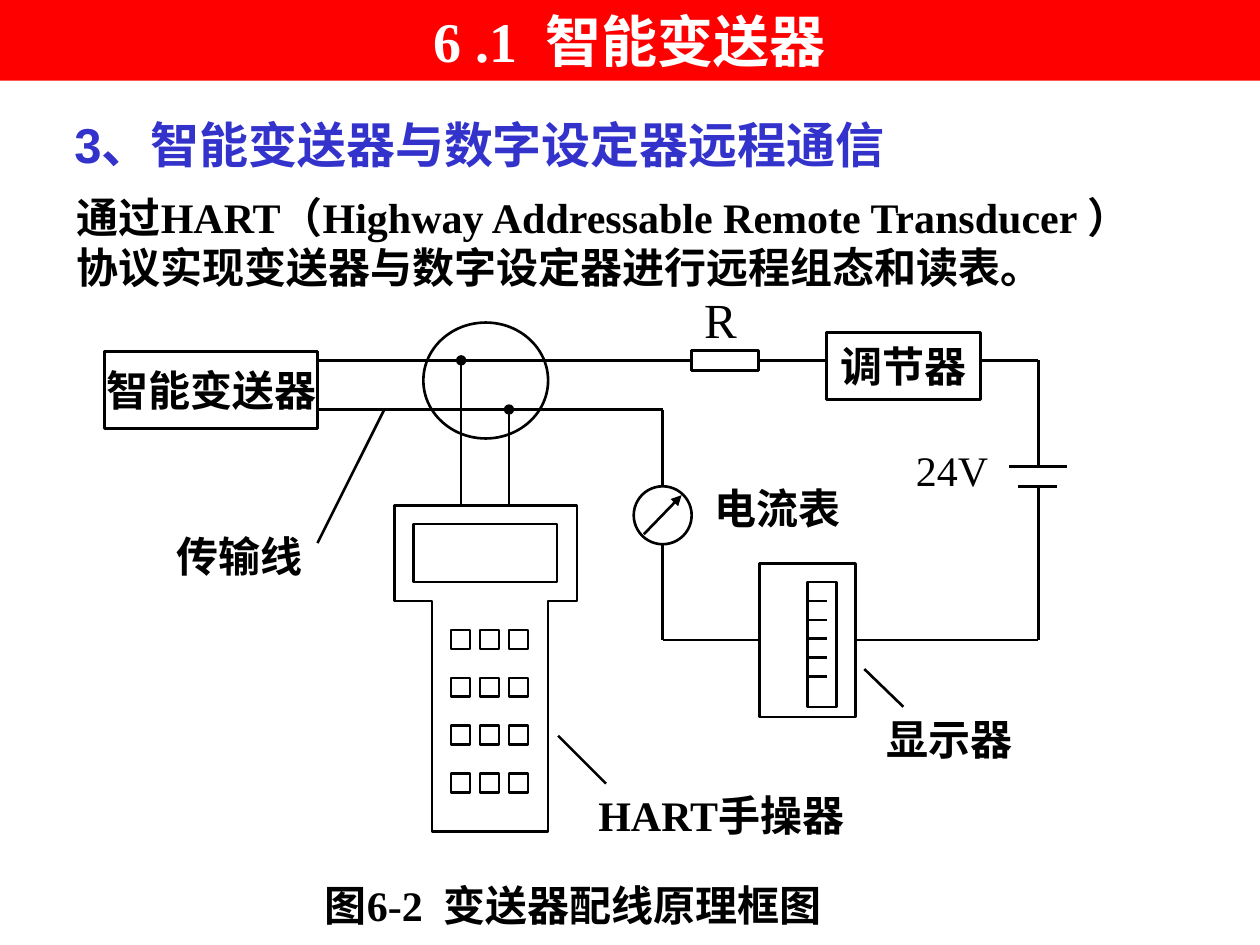
from pptx import Presentation
from pptx.dml.color import RGBColor
from pptx.enum.shapes import MSO_CONNECTOR, MSO_SHAPE
from pptx.enum.text import MSO_ANCHOR, MSO_AUTO_SIZE, PP_ALIGN
from pptx.oxml.ns import qn
from pptx.util import Inches, Pt
from lxml.etree import SubElement

BLACK = RGBColor(0, 0, 0)
WHITE = RGBColor(255, 255, 255)
RED = RGBColor(255, 0, 0)
BLUE = RGBColor(0x33, 0x33, 0xCC)
LINE = Pt(1.5)

FONT = dict(name="Times New Roman", size=Pt(24), bold=True)

TITLE = "6 .1  智能变送器"
HEADING = "3、智能变送器与数字设定器远程通信"
BODY = ("通过HART（Highway Addressable Remote Transducer ）"
        "协议实现变送器与数字设定器进行远程组态和读表。")

# text, (left, top, width, height), font changes
LABELS = [
    ("HART手操器", (4.65, 6.22, 2.52, 0.5), {}),
    ("显示器", (6.94, 5.61, 1.37, 0.5), {}),
    ("24V", (7.17, 3.48, 0.84, 0.5), dict(bold=False)),
    ("R", (5.49, 2.25, 0.61, 0.57), dict(bold=False, size=Pt(28))),
    ("电流表", (5.57, 3.78, 1.37, 0.5), {}),
    ("传输线", (1.3, 4.16, 1.37, 0.5), {}),
    ("图6-2  变送器配线原理框图", (2.48, 6.93, 5.35, 0.5), {}),
]

# name: (preset, (left, top, width, height), text)
PARTS = {
    "transmitter": (MSO_SHAPE.RECTANGLE, (0.83, 2.79, 1.69, 0.61), "智能变送器"),
    "regulator": (MSO_SHAPE.RECTANGLE, (6.56, 2.64, 1.22, 0.53), "调节器"),
    "resistor": (MSO_SHAPE.RECTANGLE, (5.49, 2.78, 0.53, 0.16), ""),
    "screen": (MSO_SHAPE.RECTANGLE, (3.28, 4.16, 1.14, 0.46), ""),
    "display": (MSO_SHAPE.RECTANGLE, (6.03, 4.47, 0.76, 1.22), ""),
    "scale": (MSO_SHAPE.RECTANGLE, (6.41, 4.62, 0.23, 0.99), ""),
    "tap circle": (MSO_SHAPE.OVAL, (3.36, 2.56, 0.99, 0.92), ""),
    "meter": (MSO_SHAPE.OVAL, (5.03, 3.86, 0.46, 0.46), ""),
}

HANDSET = [(3.13, 4.01), (4.58, 4.01), (4.58, 4.77), (4.35, 4.77),
           (4.35, 6.6), (3.43, 6.6), (3.43, 4.77), (3.13, 4.77)]
KEY_COLUMNS, KEY_ROWS, KEY_SIZE = 3, 4, 0.15
KEY_LEFT, KEY_TOP, KEY_DX, KEY_DY = 3.58, 5.0, 0.23, 0.38

# start, end, end mark; an end is a point or (part, connection site)
WIRES = [
    ((2.52, 2.86), ("resistor", 1), None),
    (("resistor", 3), (6.56, 2.86), None),
    ((7.78, 2.86), (8.24, 2.86), None),
    ((8.24, 2.86), (8.24, 3.7), None),
    ((8.01, 3.7), (8.47, 3.7), None),
    ((8.08, 3.86), (8.39, 3.86), None),
    ((8.24, 3.86), (8.24, 5.08), None),
    (("display", 3), (8.24, 5.08), None),
    ((2.52, 3.25), (5.26, 3.25), None),
    ((5.26, 3.25), ("meter", 0), None),
    ((5.26, 4.32), (5.26, 5.08), None),
    ((5.26, 5.08), ("display", 1), None),
    ((3.66, 4.01), (3.66, 2.86), "oval"),
    ((4.04, 4.01), (4.04, 3.25), "oval"),
    ((5.11, 4.24), (5.41, 3.93), "triangle"),
    # leaders to the labels
    ((4.43, 5.84), (4.81, 6.22), None),
    ((2.52, 4.31), (3.05, 3.25), None),
    ((7.17, 5.61), (6.86, 5.31), None),
]
TICKS = [((6.41, y), (6.56, y), None)
         for y in (4.77 + 0.15 * i for i in range(5))]


def place(sp, box):
    sp.left, sp.top, sp.width, sp.height = map(Inches, box)


def write(sp, text, color=BLACK, align=PP_ALIGN.LEFT, anchor=MSO_ANCHOR.TOP,
          wrap=True, inset=(0.1, 0.05), **changes):
    tf = sp.text_frame
    tf.auto_size = MSO_AUTO_SIZE.NONE
    tf.word_wrap = wrap
    tf.vertical_anchor = anchor
    tf.margin_left = tf.margin_right = Inches(inset[0])
    tf.margin_top = tf.margin_bottom = Inches(inset[1])
    p = tf.paragraphs[0]
    p.alignment = align
    p.space_before = Pt(0)
    r = p.add_run()
    r.text = text
    for key, value in {**FONT, **changes}.items():
        setattr(r.font, key, value)
    r.font.color.rgb = color
    return p


def outline(sp):
    sp.shadow.inherit = False
    sp.fill.background()
    sp.line.color.rgb = BLACK
    sp.line.width = LINE


def add_part(shapes, preset, box, text=""):
    sp = shapes.add_shape(preset, *map(Inches, box))
    outline(sp)
    if text:
        write(sp, text, align=PP_ALIGN.CENTER, anchor=MSO_ANCHOR.MIDDLE,
              wrap=False)
    return sp


def add_label(shapes, text, box, **changes):
    write(shapes.add_textbox(*map(Inches, box)), text, **changes)


def add_wire(shapes, parts, start, end, mark):
    ends = [(0, 0) if e[0] in parts else e for e in (start, end)]
    cxn = shapes.add_connector(MSO_CONNECTOR.STRAIGHT,
                               *(Inches(v) for e in ends for v in e))
    for e, connect in ((start, cxn.begin_connect), (end, cxn.end_connect)):
        if e[0] in parts:
            connect(parts[e[0]], e[1])
    cxn.line.color.rgb = BLACK
    cxn.line.width = LINE
    if mark:
        SubElement(cxn.line._get_or_add_ln(), qn("a:tailEnd"), type=mark)
    SubElement(cxn._element.spPr, qn("a:effectLst"))


def main():
    prs = Presentation()
    prs.slide_width, prs.slide_height = Inches(10), Inches(7.5)
    s = prs.slides.add_slide(prs.slide_layouts[1])
    shapes = s.shapes

    title, body = s.placeholders
    place(title, (0, 0, 10, 0.64))
    title.fill.solid()
    title.fill.fore_color.rgb = RED
    write(title, TITLE, WHITE, PP_ALIGN.CENTER, MSO_ANCHOR.MIDDLE, size=Pt(32))

    place(body, (0.51, 1.47, 8.74, 1.3))
    pPr = write(body, BODY)._p.get_or_add_pPr()
    pPr.set("marL", "0")
    pPr.set("indent", "0")
    SubElement(pPr, qn("a:buNone"))

    add_label(shapes, HEADING, (0.59, 0.91, 8.58, 0.47), color=BLUE,
              inset=(0, 0), name="Arial", size=Pt(28))

    parts = {name: add_part(shapes, *part) for name, part in PARTS.items()}

    corners = [(Inches(x), Inches(y)) for x, y in HANDSET]
    builder = shapes.build_freeform(*corners[0])
    builder.add_line_segments(corners[1:], close=True)
    outline(builder.convert_to_shape())

    for row in range(KEY_ROWS):
        for column in range(KEY_COLUMNS):
            add_part(shapes, MSO_SHAPE.RECTANGLE,
                     (KEY_LEFT + column * KEY_DX, KEY_TOP + row * KEY_DY,
                      KEY_SIZE, KEY_SIZE))

    for wire in WIRES + TICKS:
        add_wire(shapes, parts, *wire)
    for text, box, changes in LABELS:
        add_label(shapes, text, box, **changes)

    prs.save("out.pptx")


if __name__ == "__main__":
    main()
